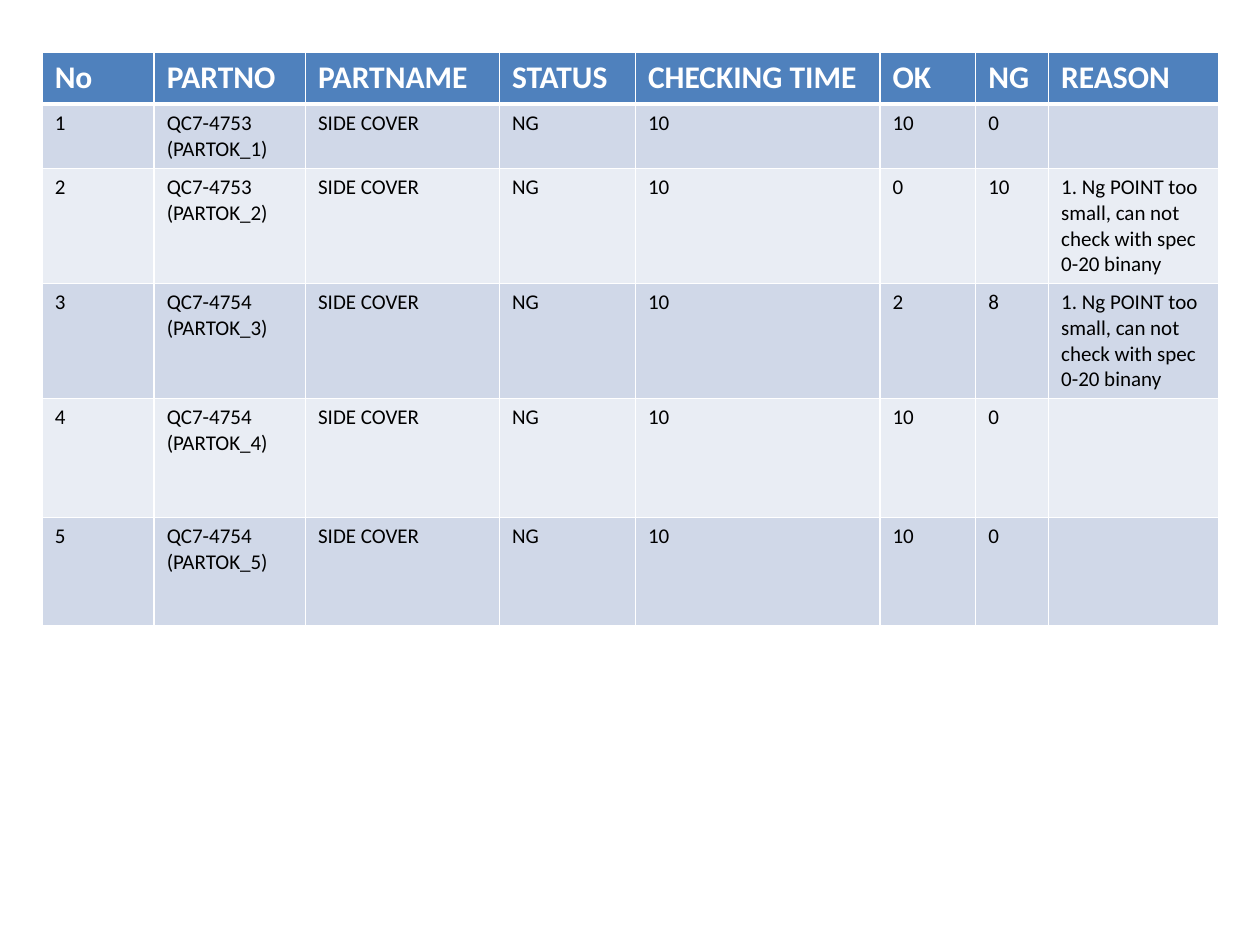
from dataclasses import dataclass

import pptx
import pptx.dml.color
import pptx.oxml
import pptx.oxml.ns
import pptx.util

Cm = pptx.util.Cm
Pt = pptx.util.Pt
RGB = pptx.dml.color.RGBColor.from_string


@dataclass(frozen=True)
class Theme:
    font: str = "Calibri"
    header_size: int = 18
    body_size: int = 12
    header_text: str = "FFFFFF"
    body_text: str = "000000"
    header_fill: str = "4F81BD"
    bands: tuple = ("D0D8E8", "E9EDF4")
    border: str = "FFFFFF"
    thin: int = 1
    thick: int = 3


THEME = Theme()
HEADERS = ["No", "PARTNO", "PARTNAME", "STATUS", "CHECKING TIME", "OK", "NG", "REASON"]
COL_WIDTHS = [2.26, 3.05, 3.91, 2.74, 4.93, 1.93, 1.47, 3.43]
ROW_HEIGHTS = [1.04, 1.3, 1.68, 1.3, 2.39, 2.18]
TOO_SMALL = "1. Ng POINT too small, can not check with spec 0-20 binany"
CHECKS = [
    ("QC7-4753", 10, 0, ""),
    ("QC7-4753", 0, 10, TOO_SMALL),
    ("QC7-4754", 2, 8, TOO_SMALL),
    ("QC7-4754", 10, 0, ""),
    ("QC7-4754", 10, 0, ""),
]


def write_text(tf, text, size, color, bold=False):
    for i, line in enumerate(text.split("\n")):
        p = tf.paragraphs[0] if i == 0 else tf.add_paragraph()
        p.font.size = Pt(size)
        if not line:
            continue
        r = p.add_run()
        r.text = line
        r.font.name = THEME.font
        r.font.size = Pt(size)
        r.font.bold = bold
        r.font.color.rgb = RGB(color)


def set_borders(cell, top, bottom):
    tcPr = cell._tc.get_or_add_tcPr()
    widths = {"L": THEME.thin, "R": THEME.thin, "T": top, "B": bottom}
    for side, width in widths.items():
        tcPr.append(pptx.oxml.parse_xml(
            f'<a:ln{side} {pptx.oxml.ns.nsdecls("a")} w="{Pt(width)}">'
            f'<a:solidFill><a:srgbClr val="{THEME.border}"/></a:solidFill>'
            f'</a:ln{side}>'
        ))


def style_cell(cell, fill, top, bottom):
    set_borders(cell, top, bottom)
    cell.fill.solid()
    cell.fill.fore_color.rgb = RGB(fill)


def table_rows():
    rows = [HEADERS]
    for n, (part, ok, ng, reason) in enumerate(CHECKS, 1):
        rows.append([str(n), f"{part}\n(PARTOK_{n})", "SIDE COVER", "NG",
                     str(ok + ng), str(ok), str(ng), reason])
    return rows


def add_check_table(s):
    rows = table_rows()
    sp = s.shapes.add_table(len(rows), len(HEADERS), Cm(0.85), Cm(1.06),
                            Cm(23.7), Cm(11.5))
    table = sp.table
    for col, width in zip(table.columns, COL_WIDTHS):
        col.width = Cm(width)
    for row, height in zip(table.rows, ROW_HEIGHTS):
        row.height = Cm(height)
    for i, values in enumerate(rows):
        header = i == 0
        fill = THEME.header_fill if header else THEME.bands[(i - 1) % 2]
        size = THEME.header_size if header else THEME.body_size
        color = THEME.header_text if header else THEME.body_text
        top = THEME.thick if i == 1 else THEME.thin
        bottom = THEME.thick if header else THEME.thin
        for j, text in enumerate(values):
            cell = table.cell(i, j)
            style_cell(cell, fill, top, bottom)
            write_text(cell.text_frame, text, size=size, color=color, bold=header)
    sp.height = Cm(11.5)


def main():
    prs = pptx.Presentation()
    prs.slide_width, prs.slide_height = Cm(25.4), Cm(19.05)
    s = prs.slides.add_slide(prs.slide_layouts[6])
    add_check_table(s)
    prs.save("out.pptx")


if __name__ == "__main__":
    main()
